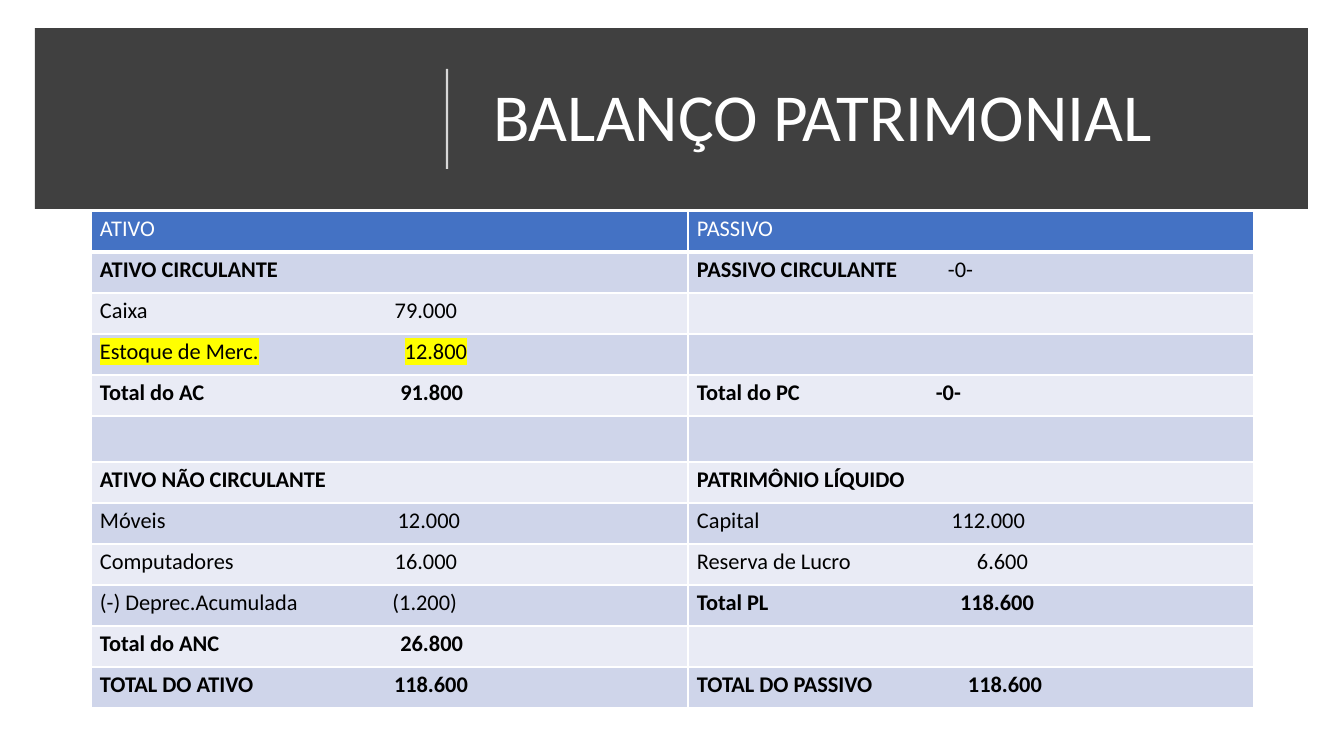
"""Build the balance sheet slide."""
from lxml import etree
from pptx import Presentation
from pptx import util as u
from pptx.dml.color import RGBColor
from pptx.enum import shapes, text
from pptx.oxml.ns import qn

PX = 12192000 / 1344
FONT = "Calibri"
WHITE, BLACK, BAND, HEADER = "FFFFFF", "000000", "404040", "4472C4"
STRIPES = ["CFD5EA", "E9EBF5"]
YELLOW = "FFFF00"

TITLE = "BALANÇO PATRIMONIAL"
BAND_BOX = (35, 28, 1273, 181)
TITLE_BOX = (483, 50, 769, 139)
DIVIDER = (447, 169, 447, 69)

TABLE_ORIGIN = (91, 211)
COLUMNS = [597, 566]
ROW, SPACER_ROW = 41, 46
INSETS = {"margin_left": 9, "margin_right": 9, "margin_top": 4, "margin_bottom": 4}

# Each entry: label, label bold, value, value bold, right edge of value in px
ASSETS = [
    ("ATIVO", False),
    ("ATIVO CIRCULANTE", True),
    ("Caixa", False, "79.000", False, 357),
    ("Estoque de Merc.", False, "12.800", False, 367),
    ("Total do AC", True, "91.800", True, 363),
    None,
    ("ATIVO NÃO CIRCULANTE", True),
    ("Móveis", False, "12.000", False, 360),
    ("Computadores", False, "16.000", False, 357),
    ("(-) Deprec.Acumulada", False, "(1.200)", False, 357),
    ("Total do ANC", True, "26.800", True, 363),
    ("TOTAL DO ATIVO", True, "118.600", True, 368),
]
LIABILITIES = [
    ("PASSIVO", False),
    ("PASSIVO CIRCULANTE", True, "-0-", False, 276),
    None,
    None,
    ("Total do PC", True, "-0-", True, 264),
    None,
    ("PATRIMÔNIO LÍQUIDO", True),
    ("Capital", False, "112.000", False, 328),
    ("Reserva de Lucro", False, "6.600", False, 331),
    ("Total PL", True, "118.600", True, 337),
    None,
    ("TOTAL DO PASSIVO", True, "118.600", True, 345),
]
HIGHLIGHTED = "Estoque de Merc."


def px(*lengths):
    return [u.Emu(round(length * PX)) for length in lengths]


def rgb(color):
    return RGBColor.from_string(color)


def add_xml(parent, tag, **attributes):
    return etree.SubElement(parent, qn(tag), attributes)


def add_run(paragraph, words, size, color, bold=False, highlight=None):
    run = paragraph.add_run()
    run.text = words
    for name, value in {"size": u.Pt(size), "bold": bold, "name": FONT}.items():
        setattr(run.font, name, value)
    run.font.color.rgb = rgb(color)
    if highlight:
        mark = etree.Element(qn("a:highlight"))
        add_xml(mark, "a:srgbClr", val=highlight)
        run.font._element.find(qn("a:solidFill")).addnext(mark)


def set_borders(cell, is_header):
    properties = cell._tc.get_or_add_tcPr()
    for side in "LRTB":
        points = 3 if is_header and side == "B" else 1
        line = add_xml(properties, f"a:ln{side}", w=str(u.Pt(points)))
        add_xml(add_xml(line, "a:solidFill"), "a:srgbClr", val=WHITE)


def fill_cell(cell, entry, row):
    set_borders(cell, row == 0)
    cell.fill.solid()
    cell.fill.fore_color.rgb = rgb(STRIPES[(row - 1) % 2] if row else HEADER)
    for name, value in INSETS.items():
        setattr(cell, name, px(value)[0])
    if not entry:
        return
    label, label_bold, *amount = entry
    color = BLACK if row else WHITE
    highlight = YELLOW if label == HIGHLIGHTED else None
    paragraph = cell.text_frame.paragraphs[0]
    add_run(paragraph, label, 16, color, label_bold, highlight)
    if amount:
        value, value_bold, edge = amount
        tabs = add_xml(paragraph._p.get_or_add_pPr(), "a:tabLst")
        add_xml(tabs, "a:tab", pos=str(px(edge)[0]), algn="r")
        add_run(paragraph, "\t" + value, 16, color, value_bold, highlight)


def add_heading(slide):
    title = slide.shapes.title
    title.left, title.top, title.width, title.height = px(*TITLE_BOX)
    frame = title.text_frame
    for name, value in {"vertical_anchor": text.MSO_ANCHOR.MIDDLE, "word_wrap": True,
                        "auto_size": text.MSO_AUTO_SIZE.NONE}.items():
        setattr(frame, name, value)
    paragraph = frame.paragraphs[0]
    paragraph.alignment = text.PP_ALIGN.LEFT
    paragraph.line_spacing = 0.9
    add_run(paragraph, TITLE, 48, WHITE)

    band = slide.shapes.add_shape(shapes.MSO_SHAPE.RECTANGLE, *px(*BAND_BOX))
    band.shadow.inherit = False
    band.fill.solid()
    band.fill.fore_color.rgb = rgb(BAND)
    band.line.fill.background()
    title._element.addprevious(band._element)

    divider = slide.shapes.add_connector(shapes.MSO_CONNECTOR.STRAIGHT, *px(*DIVIDER))
    divider.line.width = u.Pt(1.5)
    divider.line.color.rgb = rgb(WHITE)
    color = divider._element.spPr.find(".//" + qn("a:srgbClr"))
    add_xml(color, "a:alpha", val="80000")
    add_xml(divider._element.spPr, "a:effectLst")


def add_balance(slide):
    entries = list(zip(ASSETS, LIABILITIES))
    heights = [ROW if any(pair) or row < 5 else SPACER_ROW for row, pair in enumerate(entries)]
    frame = slide.shapes.add_table(len(entries), len(COLUMNS),
                                   *px(*TABLE_ORIGIN, sum(COLUMNS), sum(heights)))
    table = frame.table
    for column, width in zip(table.columns, px(*COLUMNS)):
        column.width = width
    for row, (height, pair) in enumerate(zip(px(*heights), entries)):
        table.rows[row].height = height
        for column, entry in enumerate(pair):
            fill_cell(table.cell(row, column), entry, row)


def main():
    presentation = Presentation()
    presentation.slide_width, presentation.slide_height = px(1344, 756)
    slide = presentation.slides.add_slide(presentation.slide_layouts[5])
    add_heading(slide)
    add_balance(slide)
    presentation.save("out.pptx")


if __name__ == "__main__":
    main()
